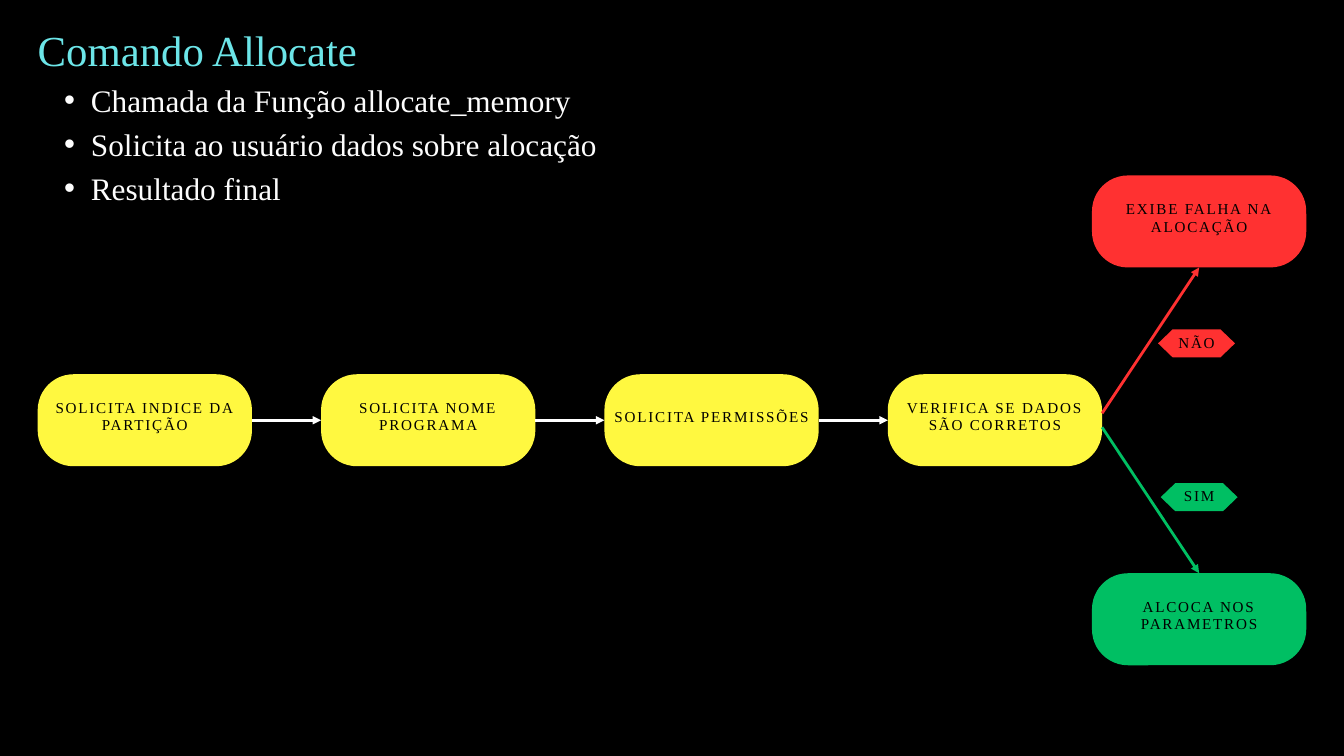
"""Build the Comando Allocate slide: a title list above a decision flow."""
from lxml import etree
from pptx import Presentation
from pptx.dml.color import RGBColor
from pptx.enum.shapes import MSO_CONNECTOR as Connector, MSO_SHAPE as Shape
from pptx.enum.text import MSO_ANCHOR as Anchor, PP_ALIGN as Align
from pptx.oxml.ns import qn
from pptx.util import Pt

FONT = "Times New Roman"
WHITE, YELLOW, RED, GREEN = "FFFFFF", "FFF840", "FF3131", "00BF63"
BOX_WIDTH, BOX_HEIGHT = 229.6, 98.6
TAG_WIDTH, TAG_HEIGHT = 82.4, 30.2
LEFT, STEP = 40.4, 303.6
ROW_TOP, END_LEFT = 401, 1170
START_X, MIDDLE_Y, SPREAD = 1180.8, 450.3, 7.5


def color(value):
    return RGBColor.from_string(value)


def add_run(paragraph, text, size, value):
    run = paragraph.add_run()
    run.text = text
    run.font.name = FONT
    run.font.size = Pt(size)
    run.font.color.rgb = color(value)
    return run


presentation = Presentation()
presentation.slide_width = Pt(1440)
presentation.slide_height = Pt(810)
slide = presentation.slides.add_slide(presentation.slide_layouts[6])
slide.background.fill.solid()
slide.background.fill.fore_color.rgb = color("000000")

heading = slide.shapes.add_textbox(Pt(LEFT), Pt(15.8), Pt(769.7), Pt(209.5))
frame = heading.text_frame
frame.word_wrap = True
frame.margin_left = frame.margin_top = frame.margin_right = frame.margin_bottom = 0
title = frame.paragraphs[0]
title.alignment = Align.JUSTIFY
title.line_spacing = Pt(64.2)
add_run(title, "Comando Allocate", 45.8, "6CE5E8")
for text in (
    "Chamada da Função allocate_memory",
    "Solicita ao usuário dados sobre alocação",
    "Resultado final",
):
    paragraph = frame.add_paragraph()
    paragraph.level = 1
    paragraph.alignment = Align.JUSTIFY
    paragraph.line_spacing = Pt(47)
    add_run(paragraph, text, 33.5, "FDFDFD")
    properties = paragraph._p.get_or_add_pPr()
    properties.set("marL", str(Pt(57)))
    properties.set("indent", str(Pt(-28.8)))
    etree.SubElement(properties, qn("a:buFont")).set("typeface", "Arial")
    etree.SubElement(properties, qn("a:buChar")).set("char", "•")

steps = (
    "SOLICITA INDICE DA PARTIÇÃO",
    "SOLICITA NOME PROGRAMA",
    "SOLICITA PERMISSÕES",
    "VERIFICA SE DADOS SÃO CORRETOS",
)
box = (Shape.ROUNDED_RECTANGLE, BOX_WIDTH, BOX_HEIGHT, 0.39, 8)
tag = (Shape.HEXAGON, TAG_WIDTH, TAG_HEIGHT, 0.52, 2)
nodes = [(text, LEFT + i * STEP, ROW_TOP, YELLOW, box) for i, text in enumerate(steps)]
nodes += [
    ("EXIBE FALHA NA ALOCAÇÃO", END_LEFT, 188, RED, box),
    ("ALCOCA NOS PARAMETROS", END_LEFT, 614.2, GREEN, box),
    ("NÃO", 1240.8, 352.8, RED, tag),
    ("SIM", 1243.6, 517.6, GREEN, tag),
]
shapes = []
for text, left, top, fill, (kind, width, height, adjustment, bottom) in nodes:
    shape = slide.shapes.add_shape(kind, Pt(left), Pt(top), Pt(width), Pt(height))
    shape.adjustments[0] = adjustment
    shape.shadow.inherit = False
    shape.fill.solid()
    shape.fill.fore_color.rgb = color(fill)
    shape.line.fill.background()
    frame = shape.text_frame
    frame.word_wrap = len(text) > 20
    frame.vertical_anchor = Anchor.MIDDLE
    frame.margin_left = frame.margin_top = frame.margin_right = 0
    frame.margin_bottom = Pt(bottom)
    paragraph = frame.paragraphs[0]
    paragraph.alignment = Align.CENTER
    paragraph.line_spacing = Pt(18.7)
    run = add_run(paragraph, text, 16.2, "000000")
    run.font._element.set("spc", "190")
    shapes.append(shape)

check, failure, success = shapes[3:6]
arrows = [(start, end, 1, WHITE, 0) for start, end in zip(shapes[:3], shapes[1:4])]
arrows += [(check, failure, 2, RED, -SPREAD), (check, success, 0, GREEN, SPREAD)]
for start, end, site, value, offset in arrows:
    start_y = Pt(MIDDLE_Y + offset)
    connector = slide.shapes.add_connector(
        Connector.STRAIGHT, Pt(START_X), start_y, end.left, start_y
    )
    if not offset:
        connector.begin_connect(start, 3)
    connector.end_connect(end, site)
    connector.line.color.rgb = color(value)
    connector.line.width = Pt(3)
    line = connector.line._get_or_add_ln()
    etree.SubElement(line, qn("a:tailEnd")).set("type", "triangle")
    etree.SubElement(connector._element.spPr, qn("a:effectLst"))

presentation.save("out.pptx")
